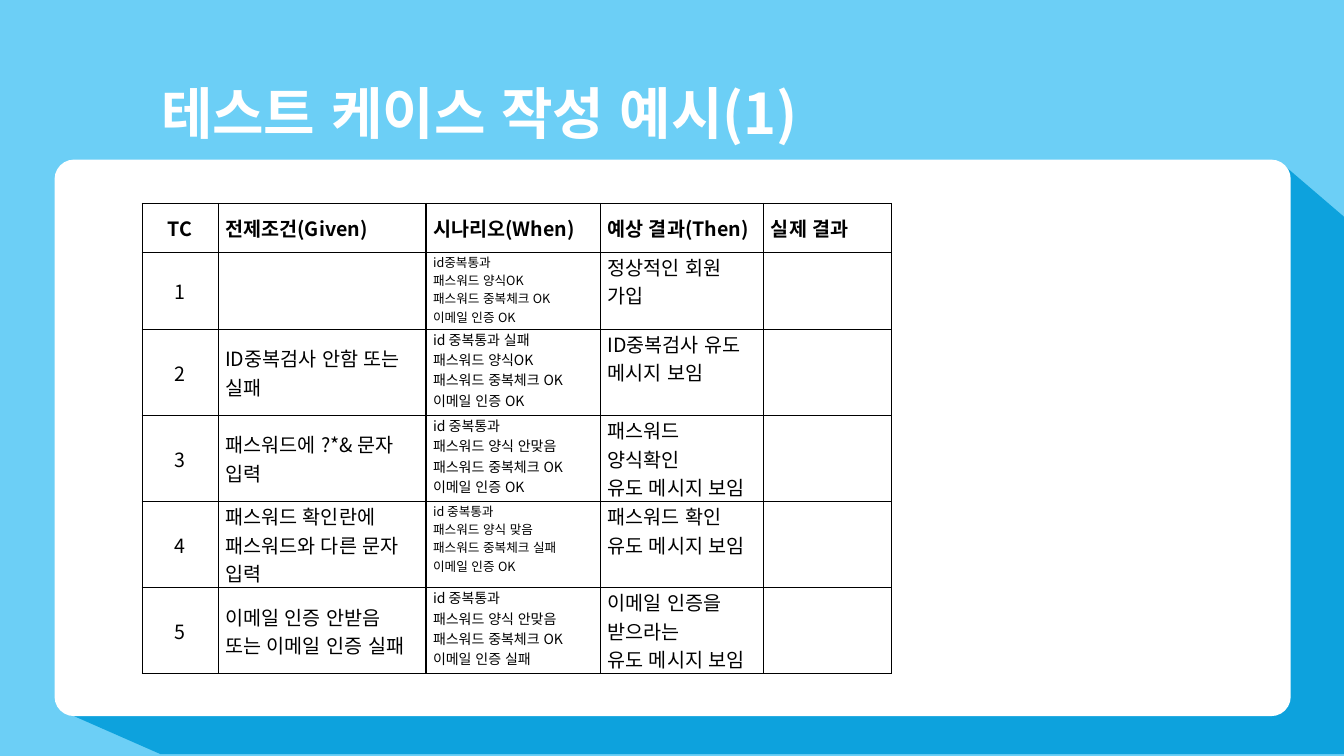
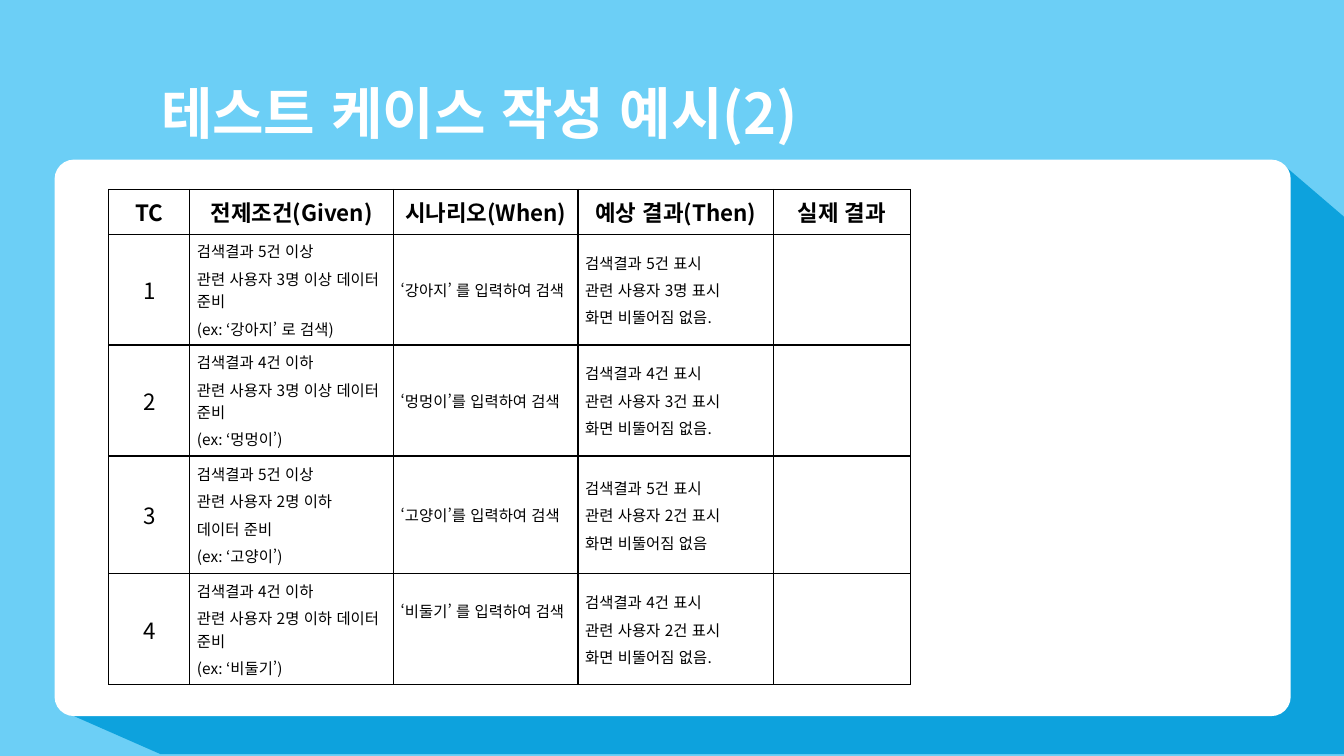
import copy
from dataclasses import dataclass, replace

import pptx
import pptx.dml.color
import pptx.enum.lang
import pptx.enum.shapes
import pptx.enum.text
import pptx.oxml
import pptx.oxml.ns
import pptx.util

Pt = pptx.util.Pt
Color = pptx.dml.color.RGBColor
Align = pptx.enum.text.PP_ALIGN
Anchor = pptx.enum.text.MSO_ANCHOR
Shape = pptx.enum.shapes.MSO_SHAPE
qn = pptx.oxml.ns.qn

SKY = Color(0x6C, 0xCF, 0xF6)
SHADE = Color(0x0D, 0xA2, 0xDD)
WHITE = Color(0xFF, 0xFF, 0xFF)
BLACK = Color(0, 0, 0)
FONT = "Noto Sans CJK KR"
WIDTH, HEIGHT = 960, 540
SHADE_POINTS = [(916.5, 117.5), (960, 154.8), (960, 538.6), (114.5, 538.6), (43.9, 507.6)]
HEADINGS = ["TC", "전제조건(Given)", "시나리오(When)", "예상 결과(Then)", "실제 결과"]


@dataclass(frozen=True)
class CellStyle:
    size: float
    align: Align = Align.LEFT
    anchor: Anchor = Anchor.MIDDLE
    bold: bool = False
    bottom: float = 0


SIGNUP_CASES = [
    ("1", "", "id중복통과\v패스워드 양식OK\v패스워드 중복체크 OK\v이메일 인증 OK",
     "정상적인 회원 가입", ""),
    ("2", "ID중복검사 안함 또는 실패",
     "id 중복통과 실패\v패스워드 양식OK\v패스워드 중복체크 OK\v이메일 인증 OK",
     "ID중복검사 유도 메시지 보임", ""),
    ("3", "패스워드에 ?*& 문자 입력",
     "id 중복통과\v패스워드 양식 안맞음\v패스워드 중복체크 OK\v이메일 인증 OK",
     "패스워드 양식확인 \v유도 메시지 보임", ""),
    ("4", "패스워드 확인란에 \v패스워드와 다른 문자 입력",
     "id 중복통과\v패스워드 양식 맞음\v패스워드 중복체크 실패\v이메일 인증 OK",
     "패스워드 확인 \v유도 메시지 보임", ""),
    ("5", "이메일 인증 안받음\v또는 이메일 인증 실패",
     "id 중복통과\v패스워드 양식 안맞음\v패스워드 중복체크 OK\v이메일 인증 실패",
     "이메일 인증을 받으라는\v유도 메시지 보임", ""),
]
SIGNUP_SCENARIO_SIZES = [9, 10, 10, 9, 10]

SEARCH_CASES = [
    ("1", "검색결과 5건 이상\n관련 사용자 3명 이상 데이터 준비\n(ex: ‘강아지’ 로 검색)",
     "‘강아지’ 를 입력하여 검색",
     "검색결과 5건 표시\n관련 사용자 3명 표시\n화면 비뚤어짐 없음.", ""),
    ("2", "검색결과 4건 이하\n관련 사용자 3명 이상 데이터 준비\n(ex: ‘멍멍이’)",
     "‘멍멍이’를 입력하여 검색",
     "검색결과 4건 표시\n관련 사용자 3건 표시\n화면 비뚤어짐 없음.", ""),
    ("3", "검색결과 5건 이상\n관련 사용자 2명 이하\n데이터 준비\n(ex: ‘고양이’)",
     "‘고양이’를 입력하여 검색",
     "검색결과 5건 표시\n관련 사용자 2건 표시\n화면 비뚤어짐 없음", ""),
    ("4", "검색결과 4건 이하\n관련 사용자 2명 이하 데이터 준비\n(ex: ‘비둘기’)",
     "‘비둘기’ 를 입력하여 검색",
     "검색결과 4건 표시\n관련 사용자 2건 표시\n화면 비뚤어짐 없음.", ""),
]


def paint(shape, color):
    shape.shadow.inherit = False
    shape.fill.solid()
    shape.fill.fore_color.rgb = color
    shape.line.fill.background()


def add_block(slide, kind, left, top, width, height, color):
    block = slide.shapes.add_shape(kind, Pt(left), Pt(top), Pt(width), Pt(height))
    paint(block, color)
    return block


def add_backdrop(slide):
    add_block(slide, Shape.RECTANGLE, 0, 0, WIDTH, HEIGHT, SKY)
    points = [(Pt(x), Pt(y)) for x, y in SHADE_POINTS]
    outline = slide.shapes.build_freeform(*points[0])
    outline.add_line_segments(points[1:], close=True)
    paint(outline.convert_to_shape(), SHADE)
    card = add_block(slide, Shape.ROUNDED_RECTANGLE, 39, 114, 883, 397.5, WHITE)
    card.adjustments[0] = 0.035


def format_spans(paragraph, size, color, bold):
    for span in paragraph.runs:
        font = span.font
        font.size, font.bold, font.name = Pt(size), bold, FONT
        font.color.rgb = color
        font.language_id = pptx.enum.lang.MSO_LANGUAGE_ID.KOREAN
        properties = span._r.get_or_add_rPr()
        east_asian = pptx.oxml.parse_xml(
            f'<a:ea {pptx.oxml.ns.nsdecls("a")} typeface="{FONT}"/>')
        properties.find(qn("a:latin")).addnext(east_asian)
    for line_break in paragraph._p.findall(qn("a:br")):
        line_break.insert(0, copy.deepcopy(properties))


def add_title(slide, text):
    box = slide.shapes.add_textbox(Pt(108), Pt(62.6), Pt(511), Pt(40.4))
    frame = box.text_frame
    frame.word_wrap = True
    frame.vertical_anchor = Anchor.MIDDLE
    para = frame.paragraphs[0]
    para.text = text
    para.line_spacing = 0.9
    format_spans(para, 40, WHITE, True)


def set_borders(cell):
    properties = cell._tc.get_or_add_tcPr()
    for side in ("lnL", "lnR", "lnT", "lnB"):
        properties.append(pptx.oxml.parse_xml(
            f'<a:{side} {pptx.oxml.ns.nsdecls("a")} w="{Pt(1)}">'
            f'<a:solidFill><a:srgbClr val="{BLACK}"/></a:solidFill></a:{side}>'))


def fill_cell(cell, text, style):
    set_borders(cell)
    cell.fill.solid()
    cell.fill.fore_color.rgb = WHITE
    cell.margin_left = cell.margin_right = Pt(5.1)
    cell.margin_top, cell.margin_bottom = 0, Pt(style.bottom)
    cell.vertical_anchor = style.anchor
    cell.text_frame.text = text
    for para in cell.text_frame.paragraphs:
        para.alignment = style.align
        para.space_before = para.space_after = Pt(1.8)
        format_spans(para, style.size, BLACK, style.bold)


def add_case_table(slide, left, top, widths, heights, cases, styles):
    table = slide.shapes.add_table(
        len(heights), len(widths), Pt(left), Pt(top), Pt(sum(widths)), Pt(sum(heights))).table
    table.first_row = table.horz_banding = False
    for column, width in zip(table.columns, widths):
        column.width = Pt(width)
    for row, height, texts, row_styles in zip(table.rows, heights, [HEADINGS, *cases], styles):
        row.height = Pt(height)
        for cell, text, style in zip(row.cells, texts, row_styles):
            fill_cell(cell, text, style)


def add_case_slide(deck, number):
    slide = deck.slides.add_slide(deck.slide_layouts[6])
    add_backdrop(slide)
    add_title(slide, f"테스트 케이스 작성 예시({number})")
    return slide


def add_signup_slide(deck):
    slide = add_case_slide(deck, 1)
    body = CellStyle(14)
    centered = replace(body, align=Align.CENTER)
    upper = replace(body, anchor=Anchor.TOP)
    heading = replace(body, bold=True)
    styles = [[replace(centered, bold=True)] + [heading] * 4]
    styles += [[centered, body, replace(upper, size=size), upper, body]
               for size in SIGNUP_SCENARIO_SIZES]
    add_case_table(slide, 101.6, 145.4, [54.2, 148.5, 124.5, 116.9, 91.3],
                   [35, 55] + [61.5] * 4, SIGNUP_CASES, styles)


def add_search_slide(deck):
    slide = add_case_slide(deck, 2)
    body = CellStyle(11)
    centered = CellStyle(16, Align.CENTER)
    raised = replace(body, bottom=26)
    styles = [[replace(centered, bold=True)] * 5]
    styles += [[centered, body, body, body, body]] * 3
    styles += [[centered, body, raised, body, body]]
    add_case_table(slide, 77.6, 135.3, [58, 145.5, 131.8, 139.5, 98],
                   [32, 79.2, 79.2, 84.2, 79.2], SEARCH_CASES, styles)


def main():
    deck = pptx.Presentation()
    deck.slide_width, deck.slide_height = Pt(WIDTH), Pt(HEIGHT)
    add_signup_slide(deck)
    add_search_slide(deck)
    deck.save("out.pptx")


if __name__ == "__main__":
    main()
